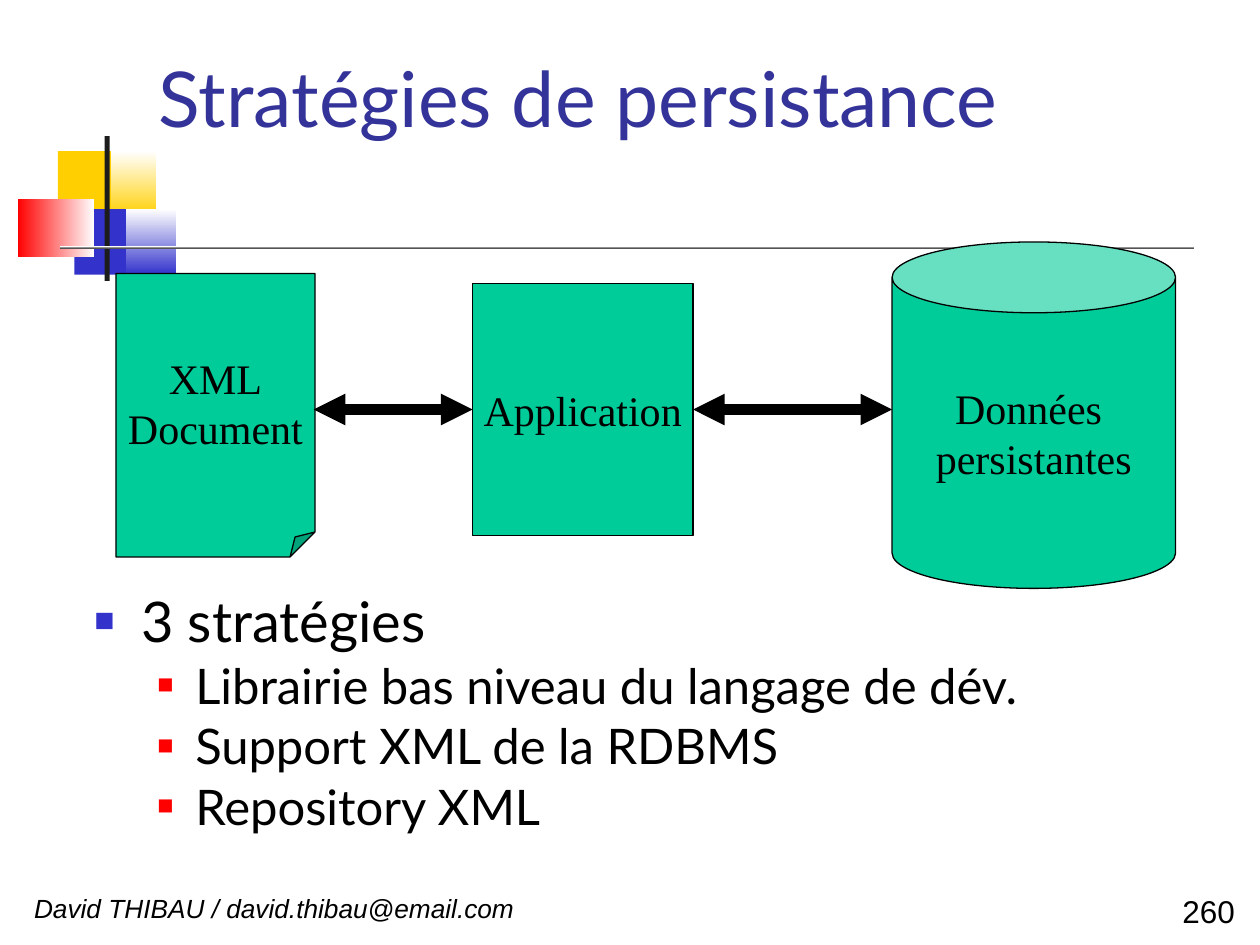
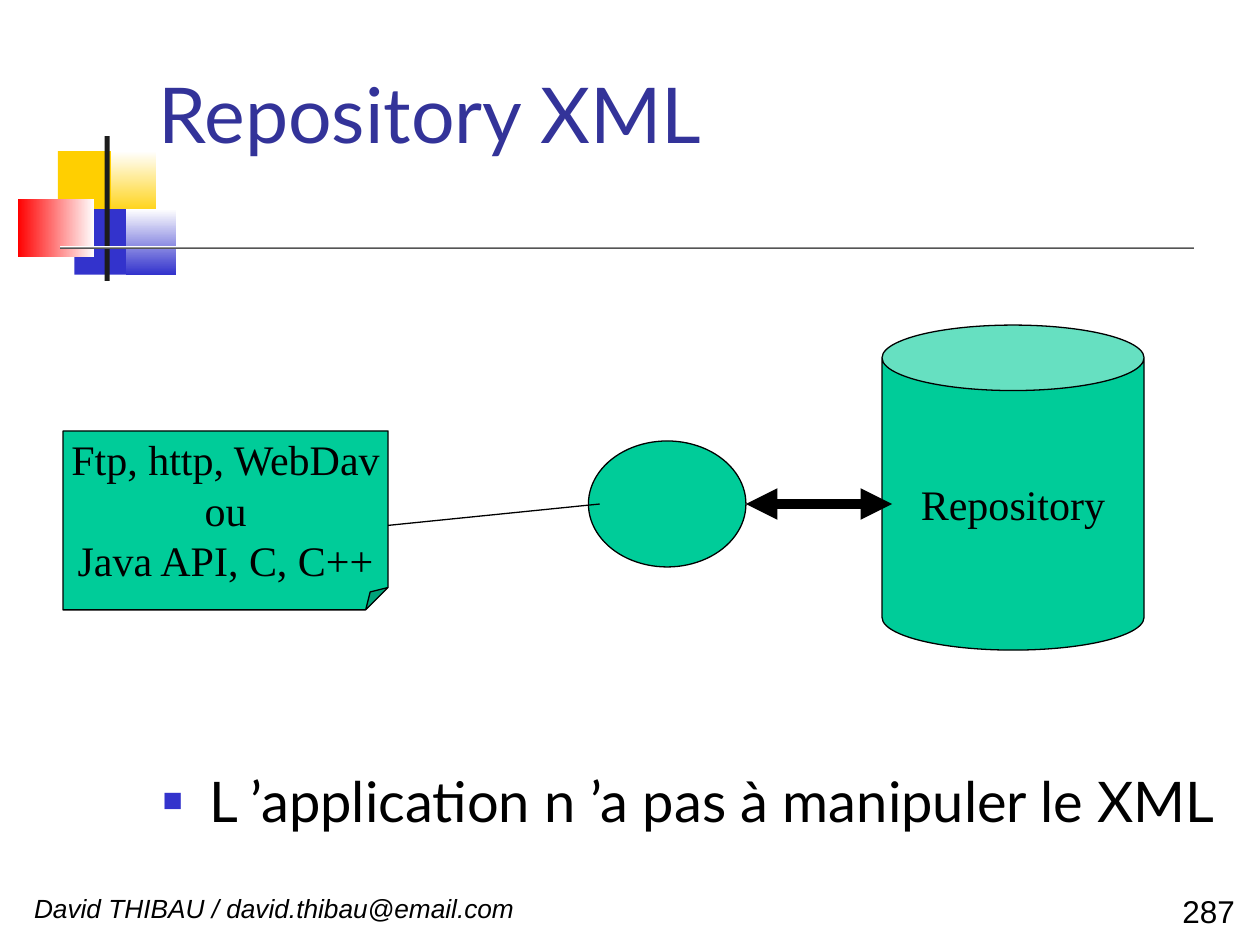
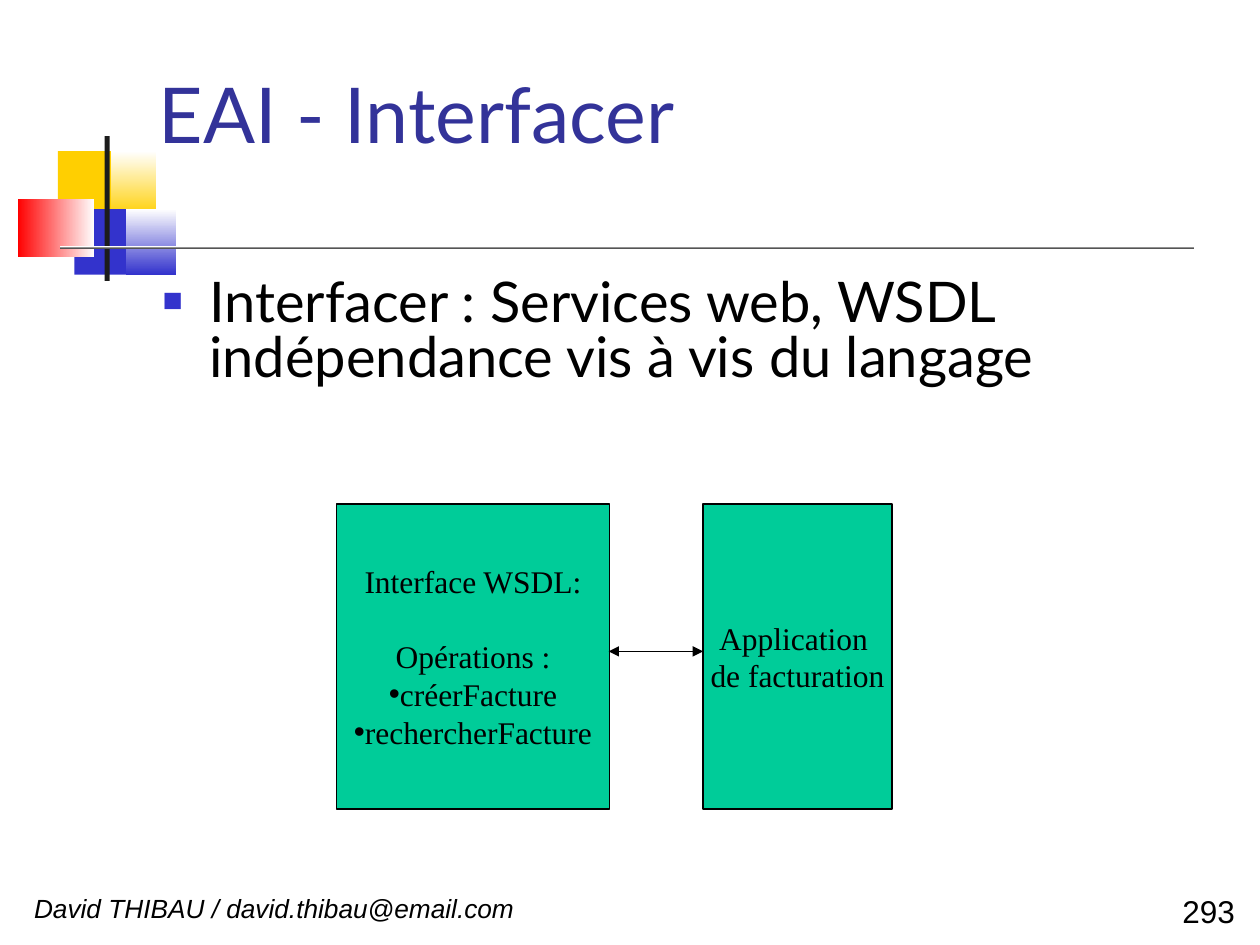
from dataclasses import dataclass
from typing import Any, Optional

from lxml.etree import SubElement
from pptx import Presentation
from pptx.dml.color import RGBColor
from pptx.enum.shapes import MSO_CONNECTOR, MSO_SHAPE
from pptx.enum.text import MSO_ANCHOR, PP_ALIGN
from pptx.oxml.ns import qn
from pptx.shapes.autoshape import Shape
from pptx.slide import Slide
from pptx.text.text import TextFrame
from pptx.util import Inches, Pt

BLACK = RGBColor(0x00, 0x00, 0x00)
WHITE = RGBColor(0xFF, 0xFF, 0xFF)
CHARCOAL = RGBColor(0x1C, 0x1C, 0x1C)
YELLOW = RGBColor(0xFF, 0xCF, 0x01)
BLUE = RGBColor(0x33, 0x33, 0xCC)
RED = RGBColor(0xFF, 0x00, 0x00)
INDIGO = RGBColor(0x33, 0x33, 0x99)
GREEN = RGBColor(0x00, 0xCC, 0x99)

AUTHOR = "David THIBAU / david.thibau@email.com"
FOLD = 12500
NO_MARGINS = dict(margin_left=0, margin_right=0, margin_top=0, margin_bottom=0)
TITLE_FONT = dict(name="Lato", size=Pt(44))
AUTHOR_FONT = dict(name="Arial", size=Pt(15), italic=True)
NUMBER_FONT = dict(name="Arial", size=Pt(18))

Box = tuple[float, float, float, float]


@dataclass(frozen=True)
class Ornament:
    box: Box
    start: RGBColor
    end: Optional[RGBColor] = None
    angle: int = 90
    rounding: Optional[float] = None


@dataclass(frozen=True)
class Bullet:
    symbol: str
    color: RGBColor
    percent: int = 100
    margin: float = 0
    hanging: float = 0


@dataclass(frozen=True)
class Line:
    text: str
    level: int = 0
    bullet: Optional[Bullet] = None
    before: float = 0
    after: float = 0


@dataclass(frozen=True)
class Node:
    kind: MSO_SHAPE
    box: Box
    lines: tuple[Line, ...] = ()
    size: int = 24


@dataclass(frozen=True)
class Link:
    start: tuple[float, float]
    end: tuple[float, float]
    weight: float = 0.75
    arrows: bool = True
    source: Optional[int] = None
    side: int = 0


@dataclass(frozen=True)
class Page:
    number: int
    title: str
    title_height: float
    body_box: Box
    body: tuple[Line, ...]
    nodes: tuple[Node, ...]
    links: tuple[Link, ...]


MAIN_BULLET = Bullet("■", BLUE, 60, 0.37, 0.37)
SUB_BULLET = Bullet("■", RED, 55, 0.8, 0.3)
DOT = Bullet("•", BLACK)

ORNAMENTS = (
    Ornament((0.46, 1.2, 0.48, 0.52), YELLOW),
    Ornament((0.88, 1.2, 0.36, 0.52), YELLOW, WHITE),
    Ornament((0.59, 1.66, 0.46, 0.52), BLUE),
    Ornament((1, 1.66, 0.4, 0.52), BLUE, WHITE),
    Ornament((0.14, 1.58, 0.61, 0.46), WHITE, RED, 180),
    Ornament((0.83, 1.08, 0.04, 1.15), CHARCOAL),
    Ornament((0.48, 1.95, 9, 0.03), CHARCOAL, WHITE, rounding=0.05),
)

PAGES = (
    Page(
        260, "Stratégies de persistance", 1.49, (0.75, 4.75, 8.5, 2.26),
        (
            Line("3 stratégies", 0, MAIN_BULLET),
            Line("Librairie bas niveau du langage de dév.", 1, SUB_BULLET, 7),
            Line("Support XML de la RDBMS", 1, SUB_BULLET, 7),
            Line("Repository XML", 1, SUB_BULLET, 7),
        ),
        (
            Node(MSO_SHAPE.CAN, (7.08, 1.92, 2.25, 2.75),
                 (Line("Données "), Line("persistantes"))),
            Node(MSO_SHAPE.RECTANGLE, (3.75, 2.25, 1.75, 2), (Line("Application"),)),
            Node(MSO_SHAPE.FOLDED_CORNER, (0.92, 2.17, 1.58, 2.25),
                 (Line("XML"), Line("Document"))),
        ),
        (
            Link((5.5, 3.25), (7.08, 3.25), 6, source=1, side=3),
            Link((3.75, 3.25), (2.49, 3.25), 6, source=1, side=1),
        ),
    ),
    Page(
        287, "Repository XML", 1.74, (1.29, 6.18, 8.5, 0.87),
        (Line("L ’application n ’a pas à manipuler le XML", 0, MAIN_BULLET),),
        (
            Node(MSO_SHAPE.CAN, (7, 2.58, 2.08, 2.58), (Line("Repository"),)),
            Node(MSO_SHAPE.OVAL, (4.67, 3.5, 1.25, 1)),
            Node(MSO_SHAPE.FOLDED_CORNER, (0.5, 3.42, 2.58, 1.42),
                 (Line("Ftp, http, WebDav"), Line("ou"), Line("Java API, C, C++"))),
        ),
        (
            Link((4.76, 4), (3.08, 4.17), arrows=False),
            Link((5.92, 4), (7.08, 4), 6),
        ),
    ),
    Page(
        293, "EAI - Interfacer", 1.74, (1.29, 2.21, 8.5, 1.77),
        (Line("Interfacer : Services web, WSDL indépendance vis à vis du langage",
              0, MAIN_BULLET),),
        (
            Node(MSO_SHAPE.RECTANGLE, (5.58, 4, 1.5, 2.42),
                 (Line("Application "), Line("de facturation")), 18),
            Node(MSO_SHAPE.RECTANGLE, (2.67, 4, 2.17, 2.42),
                 (
                     Line("Interface WSDL:"),
                     Line("Opérations :", before=21),
                     Line("créerFacture", bullet=DOT),
                     Line("rechercherFacture", bullet=DOT, after=21),
                 ), 18),
        ),
        (Link((4.83, 5.17), (5.58, 5.17)),),
    ),
)


def apply(target: Any, values: dict[str, Any]) -> None:
    for name, value in values.items():
        setattr(target, name, value)


def inches(box: Box) -> list[Inches]:
    return [Inches(length) for length in box]


def add_bullet(paragraph: Any, bullet: Bullet) -> None:
    properties = paragraph._p.get_or_add_pPr()
    properties.set("marL", str(int(Inches(bullet.margin))))
    properties.set("indent", str(-int(Inches(bullet.hanging))))
    color = SubElement(properties, qn("a:buClr"))
    SubElement(color, qn("a:srgbClr"), val=str(bullet.color))
    SubElement(properties, qn("a:buSzPct"), val=str(bullet.percent * 1000))
    SubElement(properties, qn("a:buFont"), typeface="Arial")
    SubElement(properties, qn("a:buChar"), char=bullet.symbol)


def write(frame: TextFrame, lines: tuple[Line, ...], fonts: tuple[dict, ...],
          color: RGBColor = BLACK, **layout: Any) -> None:
    for index, line in enumerate(lines):
        paragraph = frame.paragraphs[0] if index == 0 else frame.add_paragraph()
        if line.bullet:
            add_bullet(paragraph, line.bullet)
        apply(paragraph, dict(level=line.level, space_before=Pt(line.before),
                              space_after=Pt(line.after), **layout))
        run = paragraph.add_run()
        run.text = line.text
        apply(run.font, fonts[line.level])
        run.font.color.rgb = color


def add_text(slide: Slide, box: Box, lines: tuple[Line, ...], fonts: tuple[dict, ...],
             color: RGBColor = BLACK, anchor: MSO_ANCHOR = MSO_ANCHOR.TOP,
             **layout: Any) -> None:
    frame = slide.shapes.add_textbox(*inches(box)).text_frame
    apply(frame, dict(NO_MARGINS, word_wrap=True, vertical_anchor=anchor))
    write(frame, lines, fonts, color, **layout)


def add_ornament(slide: Slide, ornament: Ornament) -> None:
    kind = MSO_SHAPE.RECTANGLE if ornament.rounding is None else MSO_SHAPE.ROUNDED_RECTANGLE
    block = slide.shapes.add_shape(kind, *inches(ornament.box))
    block.shadow.inherit = False
    block.line.fill.background()
    if ornament.rounding is not None:
        block.adjustments[0] = ornament.rounding
    if ornament.end is None:
        block.fill.solid()
        block.fill.fore_color.rgb = ornament.start
        return
    block.fill.gradient()
    block.fill.gradient_angle = ornament.angle
    for stop, color in zip(block.fill.gradient_stops, (ornament.start, ornament.end)):
        stop.color.rgb = color


def add_node(slide: Slide, node: Node) -> Shape:
    shape = slide.shapes.add_shape(node.kind, *inches(node.box))
    shape.shadow.inherit = False
    shape.fill.solid()
    shape.fill.fore_color.rgb = GREEN
    shape.line.color.rgb = BLACK
    shape.line.width = Pt(0.75)
    if node.kind == MSO_SHAPE.FOLDED_CORNER:
        guides = next(shape._element.iter(qn("a:avLst")))
        SubElement(guides, qn("a:gd"), name="adj", fmla=f"val {FOLD}")
    apply(shape.text_frame, dict(word_wrap=False, vertical_anchor=MSO_ANCHOR.MIDDLE))
    font = dict(name="Times New Roman", size=Pt(node.size))
    write(shape.text_frame, node.lines, (font,), alignment=PP_ALIGN.CENTER)
    return shape


def add_link(slide: Slide, link: Link, nodes: list[Shape]) -> None:
    connector = slide.shapes.add_connector(
        MSO_CONNECTOR.STRAIGHT, *inches((*link.start, *link.end)))
    if link.source is not None:
        connector.begin_connect(nodes[link.source], link.side)
    connector.line.color.rgb = BLACK
    connector.line.width = Pt(link.weight)
    if link.arrows:
        outline = connector.line._get_or_add_ln()
        for tip in ("a:headEnd", "a:tailEnd"):
            SubElement(outline, qn(tip), type="triangle")
    SubElement(connector._element.spPr, qn("a:effectLst"))


def add_page(slide: Slide, page: Page) -> None:
    for ornament in ORNAMENTS:
        add_ornament(slide, ornament)
    add_text(slide, (0.27, 7.14, 8.51, 0.19), (Line(AUTHOR),), (AUTHOR_FONT,),
             line_spacing=0.76)
    add_text(slide, (8.66, 7.15, 1.14, 0.23), (Line(str(page.number)),), (NUMBER_FONT,),
             line_spacing=0.76, alignment=PP_ALIGN.RIGHT)
    add_text(slide, (1.26, 0.09, 8.52, page.title_height), (Line(page.title),),
             (TITLE_FONT,), INDIGO, MSO_ANCHOR.MIDDLE, line_spacing=0.82)
    nodes = [add_node(slide, node) for node in page.nodes]
    for link in page.links:
        add_link(slide, link, nodes)
    body_fonts = tuple(dict(name="Lato", size=Pt(size)) for size in (32, 28))
    add_text(slide, page.body_box, page.body, body_fonts, line_spacing=0.82)


def main() -> None:
    deck = Presentation()
    apply(deck, dict(slide_width=Inches(10), slide_height=Inches(7.5)))
    for page in PAGES:
        add_page(deck.slides.add_slide(deck.slide_layouts[6]), page)
    deck.save("out.pptx")


if __name__ == "__main__":
    main()
